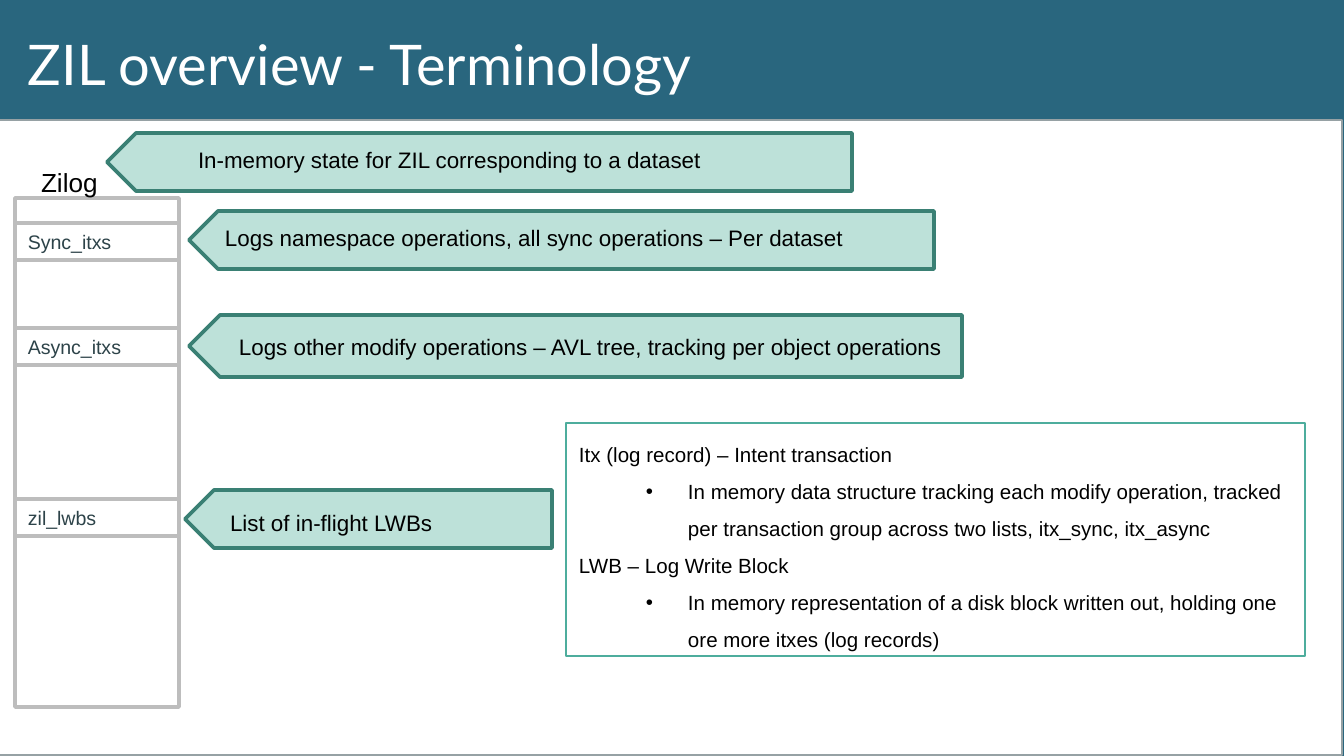
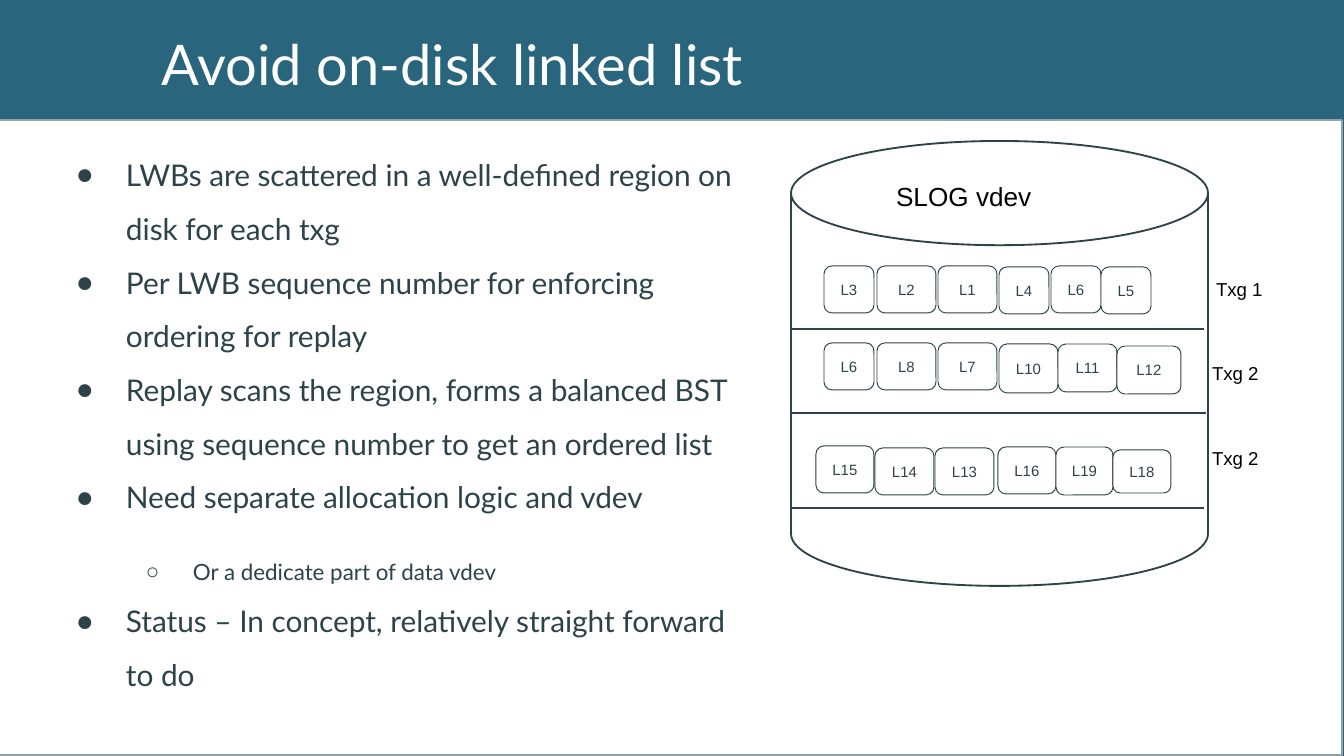
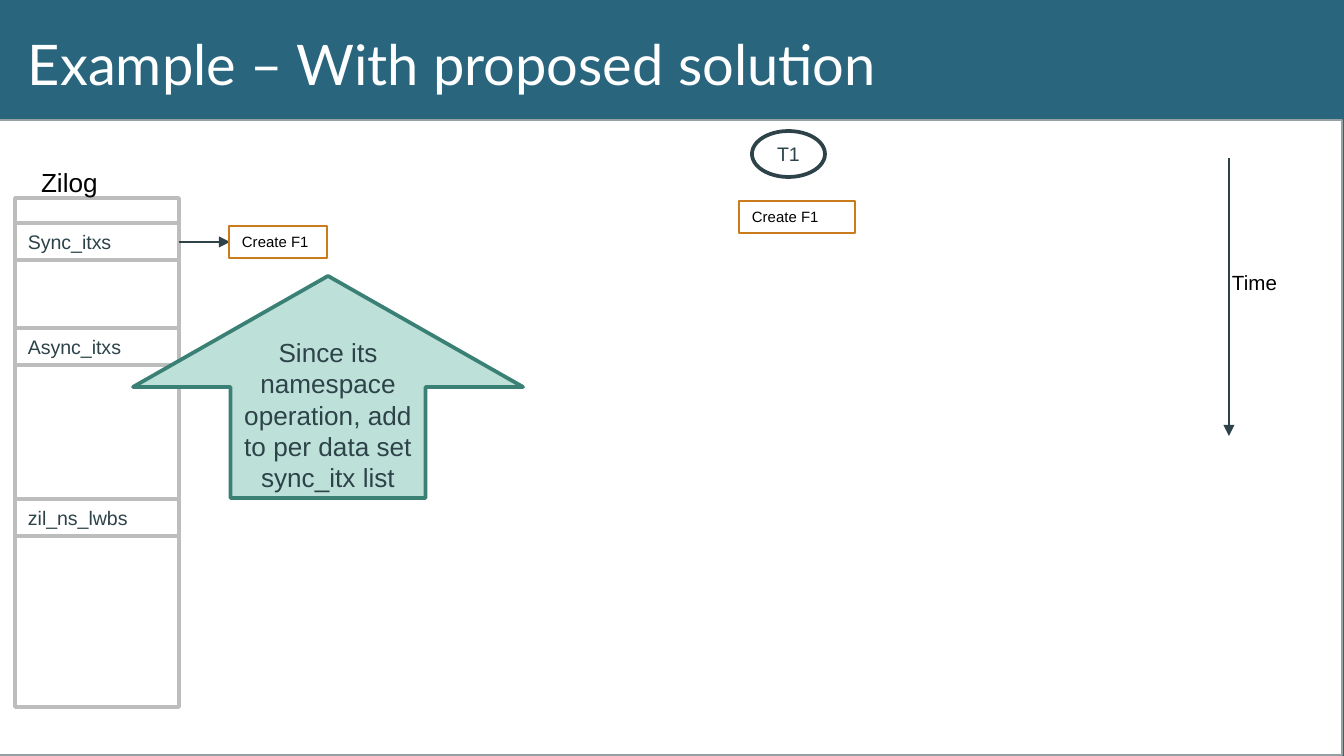
import lxml.etree
import pptx
import pptx.dml.color
import pptx.enum.shapes
import pptx.enum.text
import pptx.oxml.ns
import pptx.util

PX = 914400 / 134.4
SHAPE = pptx.enum.shapes.MSO_SHAPE
ANCHOR = pptx.enum.text.MSO_ANCHOR
ALIGN = pptx.enum.text.PP_ALIGN
COLORS = {
    "band": "29667E", "white": "FFFFFF", "panel edge": "96A1A4",
    "ink": "2D4349", "black": "000000", "log edge": "BDBDBD",
    "mint": "BDE1D9", "green": "3A8074", "teal": "4EAD9D", "orange": "CA7C1C",
}

# Content: boxes are (left, top, width, height) in px
PANEL = (-11, 120, 1353, 635)
FIELD_TOPS = (223, 328, 499)

TERMS_TITLE = "ZIL overview - Terminology"
TERMS_FIELDS = ("Sync_itxs", "Async_itxs", "zil_lwbs")
CALLOUTS = [  # text, text box, arrow box
    ("Logs namespace operations, all sync operations – Per dataset",
     (212, 217, 648, 40), (189, 211, 745, 58)),
    ("Logs other modify operations – AVL tree, tracking per object operations",
     (226, 326, 745, 40), (189, 315, 773, 62)),
    ("List of in-flight LWBs", (217, 502, 382, 40), (185, 490, 367, 58)),
    ("In-memory state for ZIL corresponding to a dataset",
     (185, 139, 582, 40), (107, 133, 745, 58)),
]
DEFINITIONS = [
    ("Itx (log record) – Intent transaction",
     "In memory data structure tracking each modify operation, tracked per "
     "transaction group across two lists, itx_sync, itx_async"),
    ("LWB – Log Write Block",
     "In memory representation of a disk block written out, holding one ore "
     "more itxes (log records)"),
]

DISK_TITLE = "Avoid on-disk linked list"
DISK_POINTS = [  # level, text
    (0, "LWBs are scattered in a well-defined region on disk for each txg"),
    (0, "Per LWB sequence number for enforcing ordering for replay"),
    (0, "Replay scans the region, forms a balanced BST using sequence number "
        "to get an ordered list"),
    (0, "Need separate allocation logic and vdev"),
    (1, "Or a dedicate part of data vdev"),
    (0, "Status – In concept, relatively straight forward to do"),
]
POINT_LEVELS = [  # bullet, indent, hanging, size, space before
    ("●", 67, 50, 16, 0),
    ("○", 134, 47, 12, 16),
]
REGIONS = [  # name, name position, bottom line (y, right end), blocks
    ("Txg 1", (1203, 271), (329, 1204), [
        ("L3", (824, 266, 50, 47)), ("L2", (877, 266, 59, 47)),
        ("L1", (938, 266, 59, 47)), ("L4", (999, 267, 50, 47)),
        ("L6", (1051, 266, 50, 47)), ("L5", (1101, 267, 50, 47))]),
    ("Txg 2", (1199, 355), (413, 1206), [
        ("L6", (824, 343, 50, 47)), ("L8", (877, 343, 59, 47)),
        ("L7", (938, 343, 59, 47)), ("L10", (999, 344, 59, 49)),
        ("L11", (1058, 344, 59, 48)), ("L12", (1117, 346, 64, 48))]),
    ("Txg 2", (1199, 440), (508, 1204), [
        ("L15", (816, 446, 58, 47)), ("L14", (875, 448, 59, 47)),
        ("L13", (935, 448, 59, 47)), ("L16", (998, 447, 58, 47)),
        ("L19", (1056, 447, 57, 48)), ("L18", (1113, 450, 58, 43))]),
]

EXAMPLE_TITLE = "Example – With proposed solution"
EXAMPLE_FIELDS = ("Sync_itxs", "Async_itxs", "zil_ns_lwbs")
CREATE = "Create F1"
CREATE_BOXES = [(739, 201, 116, 32), (229, 226, 98, 32)]
REASON = "Since its namespace operation, add to per data set sync_itx list"


# Helpers
def px(*lengths):
    return [pptx.util.Emu(round(length * PX)) for length in lengths]


def rgb(name):
    return pptx.dml.color.RGBColor.from_string(COLORS[name])


def frame_text(frame, anchor, inset_y=7):
    frame.word_wrap = True
    frame.auto_size = pptx.enum.text.MSO_AUTO_SIZE.NONE
    frame.vertical_anchor = anchor
    frame.margin_left, frame.margin_right = px(13, 13)
    frame.margin_top, frame.margin_bottom = px(inset_y, inset_y)


def add_paragraph(frame, text, size, color, font="Arial", align=ALIGN.LEFT):
    first = frame.paragraphs[0]
    paragraph = frame.add_paragraph() if first.runs else first
    paragraph.alignment = align
    paragraph.space_before = pptx.util.Pt(0)
    run = paragraph.add_run()
    run.text = text
    run.font.size = pptx.util.Pt(size)
    run.font.name = font
    run.font.color.rgb = rgb(color)
    return paragraph


def indent(paragraph, left, hanging=0, bullet=None, color="ink"):
    properties = paragraph._p.get_or_add_pPr()
    properties.set("marL", str(round(left * PX)))
    properties.set("indent", str(round(-hanging * PX)))
    if bullet:
        qn = pptx.oxml.ns.qn
        tint = lxml.etree.SubElement(properties, qn("a:buClr"))
        lxml.etree.SubElement(tint, qn("a:srgbClr"), val=COLORS[color])
        lxml.etree.SubElement(properties, qn("a:buFont"), typeface="Arial")
        lxml.etree.SubElement(properties, qn("a:buChar"), char=bullet)


def add_shape(slide, kind, box, edge, width, fill="white"):
    shape = slide.shapes.add_shape(kind, *px(*box))
    shape.shadow.inherit = False
    if fill:
        shape.fill.solid()
        shape.fill.fore_color.rgb = rgb(fill)
    else:
        shape.fill.background()
    shape.line.color.rgb = rgb(edge)
    shape.line.width = pptx.util.Pt(width)
    frame_text(shape.text_frame, ANCHOR.TOP)
    return shape


def add_centred(slide, kind, box, text, size, edge, width, fill="white"):
    frame = add_shape(slide, kind, box, edge, width, fill).text_frame
    frame.vertical_anchor = ANCHOR.MIDDLE
    add_paragraph(frame, text, size, "ink", align=ALIGN.CENTER)


def add_label(slide, box, text, size):
    frame = slide.shapes.add_textbox(*px(*box)).text_frame
    frame_text(frame, ANCHOR.TOP)
    add_paragraph(frame, text, size, "black")


def add_line(slide, ends, width, arrow=False):
    line = slide.shapes.add_connector(
        pptx.enum.shapes.MSO_CONNECTOR.STRAIGHT, *px(*ends))
    line.line.color.rgb = rgb("ink")
    line.line.width = pptx.util.Pt(width)
    qn = pptx.oxml.ns.qn
    properties = line._element.spPr
    if arrow:
        lxml.etree.SubElement(properties.find(qn("a:ln")), qn("a:tailEnd"), type="triangle")
    lxml.etree.SubElement(properties, qn("a:effectLst"))


# Shared parts
def add_slide(deck, layout, title, width, title_indent=0):
    slide = deck.slides.add_slide(deck.slide_layouts.get_by_name(layout))
    heading = slide.shapes.title
    heading.left, heading.top, heading.width, heading.height = px(15, 17, width, 85)
    frame_text(heading.text_frame, ANCHOR.TOP, 13)
    indent(add_paragraph(heading.text_frame, title, 30, "white", "Lato"), title_indent)
    return slide


def style_master(deck, slide):
    master = deck.slide_master
    master.background.fill.solid()
    master.background.fill.fore_color.rgb = rgb("band")
    panel = add_shape(slide, SHAPE.RECTANGLE, PANEL, "panel edge", 0.75)
    panel._element.nvSpPr.cNvPr.set("id", "99")
    master.shapes.element.insert(2, panel._element)


def add_zilog(slide, fields):
    add_shape(slide, SHAPE.RECTANGLE, (15, 198, 164, 509), "log edge", 2)
    for field, top in zip(fields, FIELD_TOPS):
        cell = add_shape(slide, SHAPE.RECTANGLE, (15, top, 164, 37), "log edge", 2)
        add_paragraph(cell.text_frame, field, 10.5, "ink")
    add_label(slide, (28, 159, 137, 46), "Zilog", 14)


# Slides
def build_terms(deck):
    slide = add_slide(deck, "Title Only", TERMS_TITLE, 950)
    style_master(deck, slide)
    add_zilog(slide, TERMS_FIELDS)
    for text, text_box, arrow_box in CALLOUTS:
        add_shape(slide, SHAPE.PENTAGON, arrow_box, "green", 2, "mint").rotation = 180
        add_label(slide, text_box, text, 12)
    glossary = add_shape(slide, SHAPE.RECTANGLE, (566, 423, 739, 233), "teal", 0.75, None)
    for term, meaning in DEFINITIONS:
        add_paragraph(glossary.text_frame, term, 11, "black").line_spacing = 1.5
        detail = add_paragraph(glossary.text_frame, meaning, 11, "black")
        detail.level = 1
        detail.line_spacing = 1.5
        indent(detail, 109, 42, "•", "black")


def build_disk(deck):
    slide = add_slide(deck, "Title and Content", DISK_TITLE, 880, 134)
    points = slide.placeholders[1]
    points.left, points.top, points.width, points.height = px(46, 126, 719, 612)
    frame_text(points.text_frame, ANCHOR.TOP, 13)
    for level, text in DISK_POINTS:
        bullet, left, hanging, size, before = POINT_LEVELS[level]
        point = add_paragraph(points.text_frame, text, size, "ink", "Lato")
        point.level = level
        point.line_spacing = 1.5
        point.space_before = pptx.util.Pt(before)
        indent(point, left, hanging, bullet)

    add_shape(slide, SHAPE.CAN, (791, 141, 417, 445), "ink", 1)
    add_label(slide, (883, 173, 255, 46), "SLOG vdev", 14)
    for name, corner, (bottom, right), blocks in REGIONS:
        for block, box in blocks:
            add_centred(slide, SHAPE.ROUNDED_RECTANGLE, box, block, 8, "ink", 0.5)
        add_line(slide, (791, bottom, right, bottom), 1)
        add_label(slide, (*corner, 86, 36), name, 10)


def build_example(deck):
    slide = add_slide(deck, "Title Only", EXAMPLE_TITLE, 880)
    add_zilog(slide, EXAMPLE_FIELDS)
    add_line(slide, (179, 242, 230, 242), 0.75, arrow=True)
    for box in CREATE_BOXES:
        record = add_shape(slide, SHAPE.RECTANGLE, box, "orange", 1, None)
        add_paragraph(record.text_frame, CREATE, 8, "black")
    add_centred(slide, SHAPE.OVAL, (752, 131, 73, 46), "T1", 10.5, "ink", 2)
    add_line(slide, (1229, 158, 1229, 436), 0.75, arrow=True)
    add_label(slide, (1219, 263, 85, 39), "Time", 11)
    add_centred(slide, SHAPE.UP_ARROW, (133, 276, 390, 222), REASON, 14,
                "green", 2, "mint")


def main():
    deck = pptx.Presentation()
    deck.slide_width, deck.slide_height = px(1344, 756)
    build_terms(deck)
    build_disk(deck)
    build_example(deck)
    deck.save("out.pptx")


if __name__ == "__main__":
    main()
